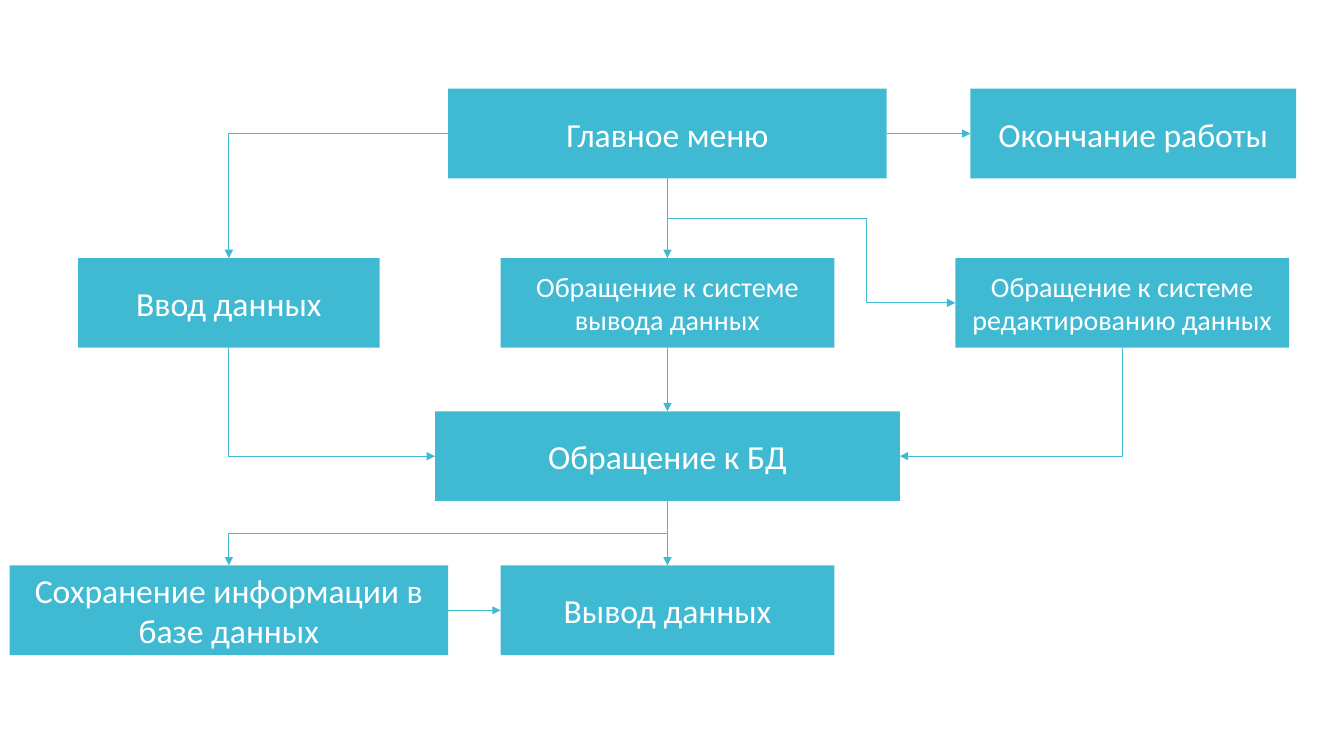
"""Build a one-slide flowchart of a database program's main menu."""
from lxml.etree import SubElement
from pptx import Presentation
from pptx.dml.color import RGBColor
from pptx.enum.shapes import MSO_CONNECTOR as Link, MSO_SHAPE as Preset
from pptx.enum.text import MSO_ANCHOR as Anchor, PP_ALIGN as Align
from pptx.oxml.ns import qn
from pptx.util import Inches, Pt

THEME = {
    "accent": RGBColor.from_string("40BAD2"),
    "text": RGBColor.from_string("FFFFFF"),
    "font": "Calibri",
    "large": Pt(24),
    "small": Pt(20),
    "line": Pt(0.75),
}
COLUMNS = {"left": 2.27, "middle": 6.62, "right": 11.13, "exit": 11.24}
ROWS = [0.88, 2.56, 4.08, 5.61]
BOX_HEIGHT = 0.89
TOP, LEFT, BOTTOM, RIGHT = range(4)

BOXES = {
    "menu": ("middle", 0, 4.35, "large", "Главное меню"),
    "exit": ("exit", 0, 3.23, "large", "Окончание работы"),
    "input": ("left", 1, 2.99, "large", "Ввод данных"),
    "query": ("middle", 1, 3.31, "small", "Обращение к системе вывода данных"),
    "edit": ("right", 1, 3.31, "small", "Обращение к системе редактированию данных"),
    "database": ("middle", 2, 4.61, "large", "Обращение к БД"),
    "save": ("left", 3, 4.35, "large", "Сохранение информации в базе данных"),
    "output": ("middle", 3, 3.31, "large", "Вывод данных"),
}
STRAIGHT = [
    ("menu", RIGHT, "exit", LEFT),
    ("menu", BOTTOM, "query", TOP),
    ("query", BOTTOM, "database", TOP),
    ("database", BOTTOM, "output", TOP),
    ("save", RIGHT, "output", LEFT),
]


def side_middle(box, side):
    """Return the middle point of one side of a box."""
    x = box.left + {LEFT: 0, RIGHT: box.width}.get(side, box.width // 2)
    y = box.top + {TOP: 0, BOTTOM: box.height}.get(side, box.height // 2)
    return x, y


def add_arrow(kind, left, top, right, bottom):
    """Add a thin accent connector with a triangle at its end."""
    connector = slide.shapes.add_connector(kind, left, top, right, bottom)
    connector.line.color.rgb = THEME["accent"]
    connector.line.width = THEME["line"]
    properties = connector._element.spPr
    SubElement(properties.find(qn("a:ln")), qn("a:tailEnd"), type="triangle")
    SubElement(properties, qn("a:effectLst"))
    return connector


presentation = Presentation()
presentation.slide_width = Inches(13.33)
presentation.slide_height = Inches(7.5)
slide = presentation.slides.add_slide(presentation.slide_layouts[6])

boxes = {}
for name, (column, row, width, size, label) in BOXES.items():
    box = slide.shapes.add_shape(
        Preset.RECTANGLE, Inches(COLUMNS[column] - width / 2), Inches(ROWS[row]),
        Inches(width), Inches(BOX_HEIGHT))
    box.shadow.inherit = False
    box.fill.solid()
    box.fill.fore_color.rgb = THEME["accent"]
    box.line.fill.background()
    box.text_frame.word_wrap = True
    box.text_frame.vertical_anchor = Anchor.MIDDLE
    paragraph = box.text_frame.paragraphs[0]
    paragraph.alignment = Align.CENTER
    run = paragraph.add_run()
    run.text = label
    run.font.color.rgb = THEME["text"]
    for attribute, value in {"name": THEME["font"], "size": THEME[size]}.items():
        setattr(run.font, attribute, value)
    boxes[name] = box

for source, source_side, target, target_side in STRAIGHT:
    ends = side_middle(boxes[source], source_side) + side_middle(boxes[target], target_side)
    connector = add_arrow(Link.STRAIGHT, *ends)
    connector.begin_connect(boxes[source], source_side)
    connector.end_connect(boxes[target], target_side)

menu_x, menu_bottom = side_middle(boxes["menu"], BOTTOM)
branch = menu_x, (menu_bottom + boxes["query"].top) // 2
database_left, database_bottom, database_right = [
    side_middle(boxes["database"], side) for side in (LEFT, BOTTOM, RIGHT)]
ELBOWS = [
    (side_middle(boxes["menu"], LEFT), side_middle(boxes["input"], TOP),
     "bentConnector2", 180, "flipV", None),
    (side_middle(boxes["input"], BOTTOM), database_left,
     "bentConnector2", 270, "flipH", None),
    (database_bottom, side_middle(boxes["save"], TOP),
     "bentConnector3", 90, None, 0.5),
    (branch, side_middle(boxes["edit"], LEFT),
     "bentConnector3", 0, None, 0.69),
    (side_middle(boxes["edit"], BOTTOM), database_right,
     "bentConnector2", 90, None, None),
]
for (start_x, start_y), (end_x, end_y), preset, turn, flip, bend in ELBOWS:
    width, height = abs(end_x - start_x), abs(end_y - start_y)
    if turn in (90, 270):
        width, height = height, width
    left = (start_x + end_x - width) // 2
    top = (start_y + end_y - height) // 2
    connector = add_arrow(Link.ELBOW, left, top, left + width, top + height)
    properties = connector._element.spPr
    frame = properties.find(qn("a:xfrm"))
    frame.set("rot", str(turn * 60000))
    if flip:
        frame.set(flip, "1")
    geometry = properties.find(qn("a:prstGeom"))
    geometry.set("prst", preset)
    if bend:
        SubElement(geometry.find(qn("a:avLst")), qn("a:gd"),
                   name="adj1", fmla=f"val {round(bend * 100000)}")

presentation.save("out.pptx")
